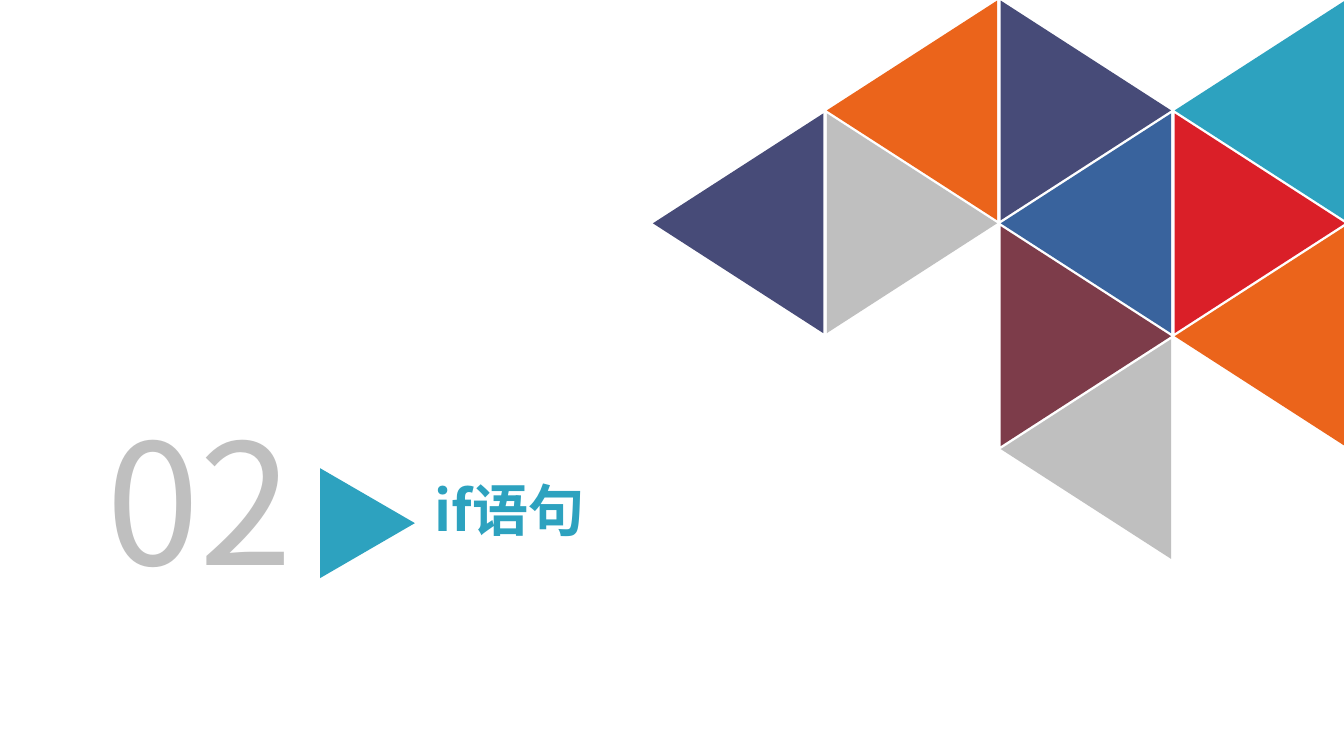
"""Build a section slide with a mosaic of triangles and a numbered heading."""
from pptx import Presentation
from pptx.dml.color import RGBColor
from pptx.enum.shapes import MSO_SHAPE as Shape
from pptx.enum.text import MSO_ANCHOR as Anchor, MSO_AUTO_SIZE as AutoSize, PP_ALIGN as Align
from pptx.oxml.ns import qn
from pptx.util import Inches, Pt

TEAL = RGBColor(0x2D, 0xA2, 0xBF)
RED = RGBColor(0xDA, 0x1F, 0x28)
ORANGE = RGBColor(0xEB, 0x64, 0x1B)
NAVY = RGBColor(0x47, 0x4B, 0x78)
BLUE = RGBColor(0x39, 0x63, 0x9D)
MAROON = RGBColor(0x7D, 0x3C, 0x4A)
GRAY = RGBColor(0xBF, 0xBF, 0xBF)
FONT = "Noto Sans CJK SC"

MOSAIC_LEFT, MOSAIC_TOP = 6.23, 0.25
COLUMN_STEP, ROW_STEP = 1.725, 1.12
MOSAIC = [
    {1: NAVY},
    {0: ORANGE, 1: GRAY},
    {0: NAVY, 1: BLUE, 2: MAROON, 3: GRAY},
    {0: TEAL, 1: RED, 2: ORANGE},
]


def add_triangle(page, left, top, width, height, rotation, color):
    triangle = page.shapes.add_shape(
        Shape.ISOSCELES_TRIANGLE, Inches(left), Inches(top), Inches(width), Inches(height))
    triangle.rotation = rotation
    triangle.shadow.inherit = False
    triangle.fill.solid()
    triangle.fill.fore_color.rgb = color
    triangle.line.fill.background()


def write_text(box, text, size, color, bold, align):
    frame = box.text_frame
    frame.text = text
    frame.word_wrap = True
    frame.auto_size = AutoSize.NONE
    frame.vertical_anchor = Anchor.TOP
    para = frame.paragraphs[0]
    para.alignment = align
    para.line_spacing = 0.89
    font = para.runs[0].font
    font.size = Pt(size)
    font.bold = bold
    font.color.rgb = color
    font.name = FONT
    east_asian = font._element.makeelement(qn("a:ea"), {"typeface": FONT})
    font._element.find(qn("a:latin")).addnext(east_asian)


deck = Presentation()
deck.slide_width, deck.slide_height = Inches(13.33), Inches(7.5)
page = deck.slides.add_slide(deck.slide_layouts[5])

for column, cells in enumerate(MOSAIC):
    for row, color in cells.items():
        rotation = 270 if (column + row) % 2 else 90
        add_triangle(page, MOSAIC_LEFT + column * COLUMN_STEP, MOSAIC_TOP + row * ROW_STEP,
                     2.18, 1.69, rotation, color)

title = page.shapes.title
title.left, title.top, title.width, title.height = map(Inches, (4.21, 4.75, 2.87, 0.77))
write_text(title, "if语句", 40, TEAL, True, Align.LEFT)

number = page.shapes.add_textbox(Inches(0.48), Inches(4.14), Inches(3), Inches(2.12))
write_text(number, "02", 120, GRAY, False, Align.CENTER)

add_triangle(page, 3.1, 4.72, 1.09, 0.94, 90, TEAL)

deck.save("out.pptx")
